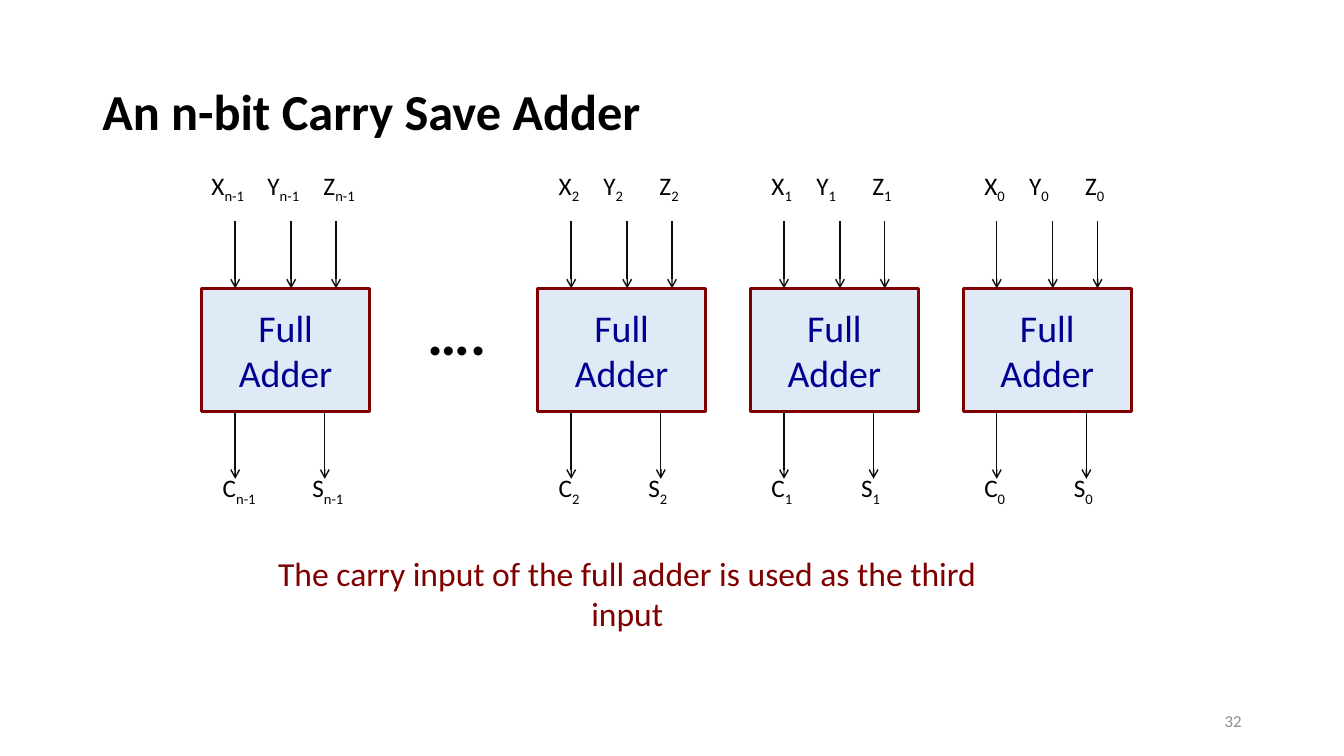
from dataclasses import dataclass

from lxml import etree
from pptx import Presentation
from pptx import util as u
from pptx.dml.color import RGBColor
from pptx.enum import shapes, text
from pptx.oxml.ns import qn

FACE = "Calibri"
BLACK, INK, GREY = "000000", "0D0D0D", "8C8C8C"
MAROON, NAVY, PALE = "800000", "000090", "DEEBF7"
TOP, WIDE, HIGH, STEM = 206, 120, 88, 48  # adder boxes and arrow length
LEFT, MID, RIGHT = text.PP_ALIGN.LEFT, text.PP_ALIGN.CENTER, text.PP_ALIGN.RIGHT


@dataclass
class Adder:
    left: float
    index: str
    x_shift: float = 8


@dataclass
class Note:
    words: str
    box: tuple
    size: float
    color: str = BLACK
    bold: bool = False
    align: int = LEFT
    middle: bool = False
    pad: tuple = (7.2, 3.6)


ADDERS = [Adder(688, "0"), Adder(536, "1"), Adder(384, "2"), Adder(144, "n-1", 0)]
IN_STEMS = (24, 64, 96)
OUT_STEMS = (24, 88)

NOTES = [
    Note("An n-bit Carry Save Adder", (66, 29, 828, 104.4), 36,
         bold=True, middle=True),
    Note("32", (678, 500.5, 216, 28.75), 12, GREY, align=RIGHT, middle=True),
    Note("….", (296, 206, 128, 61), 43, bold=True, pad=(9.6, 4.8)),
    Note("The carry input of the full adder is used as the third input",
         (184, 390, 528, 68), 24, MAROON, align=MID, pad=(9.6, 4.8)),
]


def paint(code: str) -> RGBColor:
    return RGBColor.from_string(code)


def style(para, size: float, color: str, bold: bool = False, align=LEFT) -> None:
    para.alignment = align
    font = para.font
    font.name, font.size, font.bold = FACE, u.Pt(size), bold
    font.color.rgb = paint(color)


def draw_note(tree, note: Note):
    frame = tree.add_textbox(*map(u.Pt, note.box)).text_frame
    frame.word_wrap = True
    frame.margin_left = frame.margin_right = u.Pt(note.pad[0])
    frame.margin_top = frame.margin_bottom = u.Pt(note.pad[1])
    if note.middle:
        frame.vertical_anchor = text.MSO_ANCHOR.MIDDLE
    para = frame.paragraphs[0]
    para.add_run().text = note.words
    style(para, note.size, note.color, note.bold, note.align)
    return para


def draw_label(tree, name: str, index: str, left: float, top: float) -> None:
    para = draw_note(tree, Note(name, (left, top, 56, 29), 18))
    sub = para.add_run()
    sub.text = index
    sub._r.get_or_add_rPr().set("baseline", "-25000")


def draw_arrow(tree, left: float, top: float) -> None:
    line = tree.add_connector(shapes.MSO_CONNECTOR.STRAIGHT, u.Pt(left),
                              u.Pt(top), u.Pt(left), u.Pt(top + STEM))
    line.line.width = u.Pt(1)
    line.line.color.rgb = paint(INK)
    etree.SubElement(line.line._get_or_add_ln(), qn("a:tailEnd"), type="arrow")
    etree.SubElement(line._element.spPr, qn("a:effectLst"))


def draw_adder(tree, adder: Adder) -> None:
    # Box
    box = tree.add_shape(shapes.MSO_SHAPE.RECTANGLE, u.Pt(adder.left),
                         u.Pt(TOP), u.Pt(WIDE), u.Pt(HIGH))
    box.shadow.inherit = False
    box.fill.solid()
    box.fill.fore_color.rgb = paint(PALE)
    box.line.color.rgb = paint(MAROON)
    box.line.width = u.Pt(2)
    frame = box.text_frame
    frame.word_wrap = True
    frame.vertical_anchor = text.MSO_ANCHOR.MIDDLE
    frame.paragraphs[0].add_run().text = "Full Adder"
    style(frame.paragraphs[0], 27, NAVY, align=MID)

    # Arrows in and out
    for shift in IN_STEMS:
        draw_arrow(tree, adder.left + shift, TOP - STEM)
    for shift in OUT_STEMS:
        draw_arrow(tree, adder.left + shift, TOP + HIGH)

    # Signal names
    for name, shift in (("X", adder.x_shift), ("Y", 40), ("Z", 80)):
        draw_label(tree, name, adder.index, adder.left + shift, 118)
    for name, shift in (("C", 8), ("S", 72)):
        draw_label(tree, name, adder.index, adder.left + shift, 334)


def main() -> None:
    deck = Presentation()
    deck.slide_width, deck.slide_height = u.Pt(960), u.Pt(540)
    slide = deck.slides.add_slide(deck.slide_layouts[6])

    # Adders, one group each
    for adder in ADDERS:
        draw_adder(slide.shapes.add_group_shape().shapes, adder)

    # Title, page number, dots and caption
    for note in NOTES:
        para = draw_note(slide.shapes, note)
        if note is NOTES[0]:
            para.line_spacing = 0.9

    deck.save("out.pptx")


if __name__ == "__main__":
    main()
